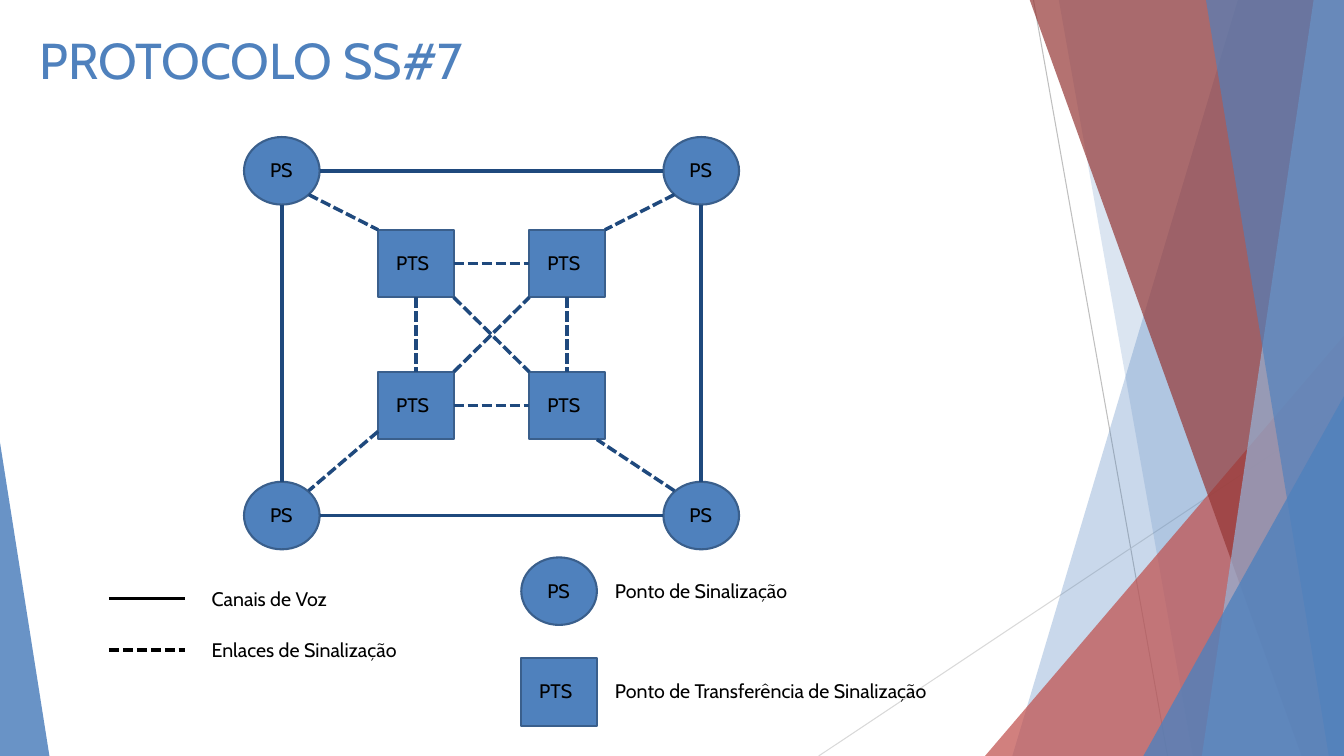
from lxml.etree import SubElement
from pptx import Presentation
from pptx.dml.color import RGBColor
from pptx.enum.dml import MSO_LINE
from pptx.enum.shapes import MSO_CONNECTOR, MSO_SHAPE
from pptx.enum.text import MSO_ANCHOR, MSO_AUTO_SIZE
from pptx.oxml.ns import qn
from pptx.util import Inches, Pt

BLUE = RGBColor(0x4F, 0x81, 0xBD)
LIGHT_BLUE = RGBColor(0x95, 0xB3, 0xD7)
NAVY = RGBColor(0x1F, 0x49, 0x7D)
OUTLINE = RGBColor(0x3A, 0x5F, 0x8C)
RED = RGBColor(0xC0, 0x50, 0x4D)
DARK_RED = RGBColor(0x95, 0x37, 0x35)
GRAY = RGBColor(0xBF, 0xBF, 0xBF)
LIGHT_GRAY = RGBColor(0xD9, 0xD9, 0xD9)
BLACK = RGBColor(0, 0, 0)

WIDTH, HEIGHT = 13.33, 7.5
NODE_W, NODE_H = 0.75, 0.67
NODES = {
    "PS": (MSO_SHAPE.OVAL, 0.16, 0.5),
    "PTS": (MSO_SHAPE.RECTANGLE, 0.08, 0.67),
}


class Slide:
    font = "Cabin"

    def __init__(self, prs):
        self.s = prs.slides.add_slide(prs.slide_layouts[6])

    def paint(self, sp, color, alpha=100):
        sp.shadow.inherit = False
        sp.fill.solid()
        sp.fill.fore_color.rgb = color
        sp.line.fill.background()
        if alpha < 100:
            clr = sp.fill._xPr.find(qn("a:solidFill"))[0]
            SubElement(clr, qn("a:alpha"), val=str(alpha * 1000))

    def band(self, top_x, bottom_x, color, alpha):
        points = [(top_x, -0.01), (WIDTH, -0.01), (WIDTH, HEIGHT), (bottom_x, HEIGHT)]
        points = [(Inches(x), Inches(y)) for x, y in points]
        fb = self.s.shapes.build_freeform(*points[0])
        fb.add_line_segments(points[1:], close=True)
        self.paint(fb.convert_to_shape(), color, alpha)

    def triangle(self, x, y, w, apex, color, alpha):
        sp = self.s.shapes.add_shape(
            MSO_SHAPE.ISOSCELES_TRIANGLE, Inches(x), Inches(y), Inches(w), Inches(HEIGHT - y))
        sp.adjustments[0] = apex
        self.paint(sp, color, alpha)

    def line(self, start, end, color=NAVY, width=2.5, dashed=False):
        c = self.s.shapes.add_connector(
            MSO_CONNECTOR.STRAIGHT, *(Inches(v) for v in (*start, *end)))
        c.line.color.rgb = color
        c.line.width = Pt(width)
        if dashed:
            c.line.dash_style = MSO_LINE.SQUARE_DOT
        SubElement(c._element.spPr, qn("a:effectLst"))

    def text(self, x, y, w, h, text, size=14, color=BLACK):
        tb = self.s.shapes.add_textbox(Inches(x), Inches(y), Inches(w), Inches(h))
        tf = tb.text_frame
        tf.word_wrap = True
        tf.auto_size = MSO_AUTO_SIZE.NONE
        tf.vertical_anchor = MSO_ANCHOR.TOP
        r = tf.paragraphs[0].add_run()
        r.text = text
        r.font.name = self.font
        r.font.size = Pt(size)
        r.font.color.rgb = color

    def node(self, x, y, label):
        shape, inset, w = NODES[label]
        sp = self.s.shapes.add_shape(
            shape, Inches(x), Inches(y), Inches(NODE_W), Inches(NODE_H))
        self.paint(sp, BLUE)
        sp.line.color.rgb = OUTLINE
        sp.line.width = Pt(1.5)
        self.text(x + inset, y + 0.16, w, 0.34, label)


def draw_background(slide):
    slide.line((10.25, 0), (11.58, HEIGHT), GRAY, 0.75)
    slide.line((WIDTH, 4.03), (8.12, HEIGHT), LIGHT_GRAY, 0.75)
    slide.band(12.28, 10.04, BLUE, 30)
    slide.band(10.5, 11.83, BLUE, 20)
    slide.triangle(9.77, 3.33, 3.56, 1, RED, 72)
    slide.band(10.21, 12.91, DARK_RED, 70)
    slide.band(13.03, 11.92, LIGHT_BLUE, 70)
    slide.band(11.96, 13.18, BLUE, 65)
    slide.triangle(11.34, 3.93, 1.99, 1, BLUE, 80)
    slide.triangle(0, 4.39, 0.49, 0, BLUE, 85)


def draw_network(slide):
    ps_x, ps_y = (2.42, 6.58), (1.36, 4.78)
    pts_x, pts_y = (3.75, 5.25), (2.28, 3.69)
    for label, xs, ys in (("PS", ps_x, ps_y), ("PTS", pts_x, pts_y)):
        for y in ys:
            for x in xs:
                slide.node(x, y, label)

    for xs, ys, dashed in ((ps_x, ps_y, False), (pts_x, pts_y, True)):
        left, right = xs[0] + NODE_W, xs[1]
        top, bottom = ys[0] + NODE_H, ys[1]
        for y in ys:
            mid = y + NODE_H / 2
            slide.line((left, mid), (right, mid), dashed=dashed)
        for x in xs:
            mid = x + NODE_W / 2
            slide.line((mid, top), (mid, bottom), dashed=dashed)

    slide.line((left, bottom), (right, top), dashed=True)
    slide.line((left, top), (right, bottom), dashed=True)
    for start, end in (
        ((3.06, 1.93), (3.75, 2.28)),
        ((3.75, 4.28), (3.06, 4.87)),
        ((6.69, 1.93), (6, 2.28)),
        ((6.69, 4.87), (5.92, 4.36)),
    ):
        slide.line(start, end, dashed=True)


def draw_legend(slide):
    for y, w, label, dashed in (
        (5.94, 1.58, "Canais de Voz", False),
        (6.45, 2.58, "Enlaces de Sinalização", True),
    ):
        slide.line((1.08, y), (1.83, y), BLACK, dashed=dashed)
        slide.text(2, y - 0.17, w, 0.34, label)
    for y, node, label in (
        (5.53, "PS", "Ponto de Sinalização"),
        (6.53, "PTS", "Ponto de Transferência de Sinalização"),
    ):
        slide.node(5.17, y, node)
        slide.text(6, y + 0.16, 3.58, 0.34, label)


def main():
    prs = Presentation()
    prs.slide_width, prs.slide_height = Inches(WIDTH), Inches(HEIGHT)
    slide = Slide(prs)
    draw_background(slide)
    slide.text(0.29, 0.24, 11.22, 1.65, "PROTOCOLO SS#7", 36, BLUE)
    draw_network(slide)
    draw_legend(slide)
    prs.save("out.pptx")


if __name__ == "__main__":
    main()
